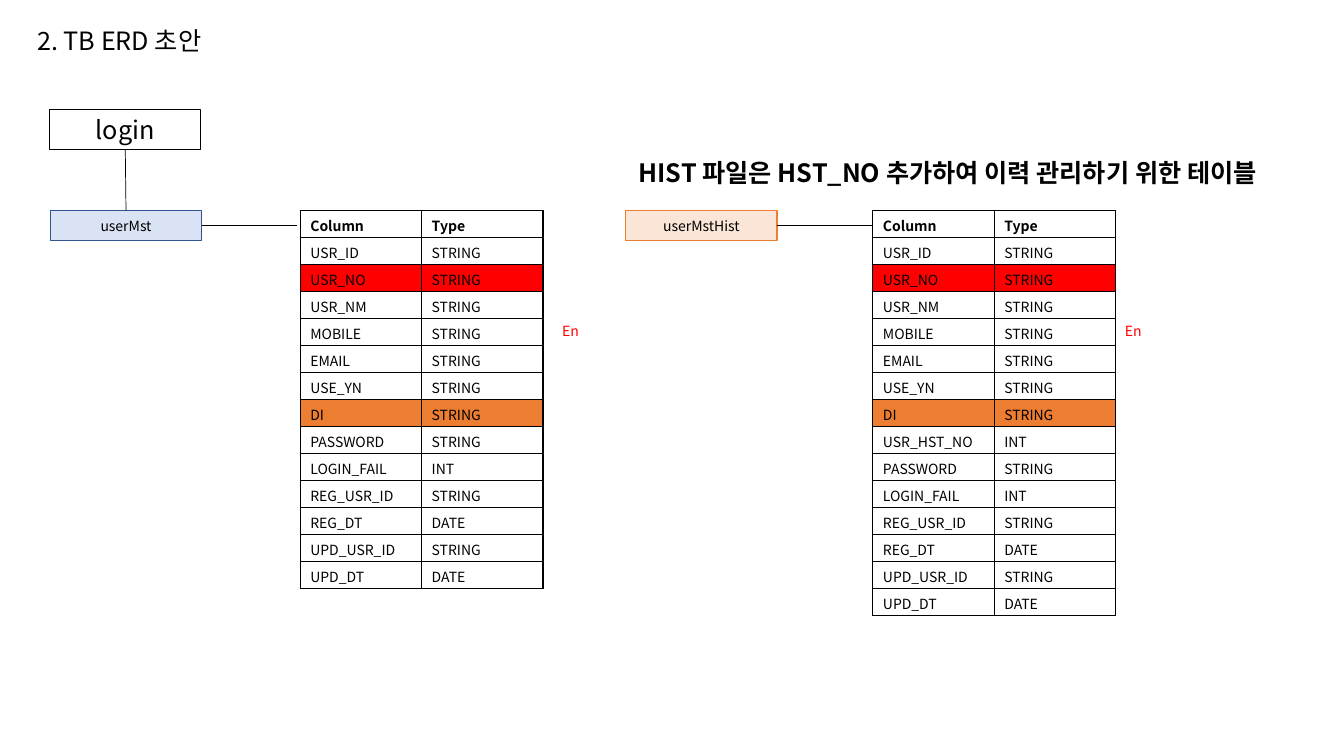
from dataclasses import dataclass

from lxml import etree
from pptx import Presentation
from pptx import util as u
from pptx.dml.color import RGBColor
from pptx.enum import shapes, text
from pptx.oxml.ns import qn

FONT = "Noto Sans CJK KR"
BLACK = "000000"
RED = "FF0000"
ORANGE = "ED7D31"
COLUMN_WIDTH = 86.7
ROW_HEIGHT = 19.28
ROW_FILLS = {"USR_NO": RED, "DI": ORANGE}


@dataclass
class Entity:
    name: str
    left: float
    top: float
    height: float
    line: str
    fill: str | None = None
    size: float = 10


@dataclass
class Label:
    words: str
    left: float
    top: float
    width: float
    height: float
    size: float = 10
    color: str = BLACK
    bold: bool = False


@dataclass
class ColumnTable:
    left: float
    rows: list[tuple[str, str]]


LOGIN = Entity("login", 35.5, 78, 29, BLACK, size=18)
USER = Entity("userMst", 36, 150.5, 21.5, "325491", "DAE3F3")
HISTORY = Entity("userMstHist", 447, 150.5, 21.5, ORANGE, "FBE5D6")

KEY_ROWS = [("Column", "Type")] + [
    (name, "STRING")
    for name in ("USR_ID", "USR_NO", "USR_NM", "MOBILE", "EMAIL", "USE_YN", "DI")
]
AUDIT_ROWS = [
    ("PASSWORD", "STRING"),
    ("LOGIN_FAIL", "INT"),
    ("REG_USR_ID", "STRING"),
    ("REG_DT", "DATE"),
    ("UPD_USR_ID", "STRING"),
    ("UPD_DT", "DATE"),
]
TABLES = [
    ColumnTable(214.5, KEY_ROWS + AUDIT_ROWS),
    ColumnTable(623.5, KEY_ROWS + [("USR_HST_NO", "INT")] + AUDIT_ROWS),
]
LABELS = [
    Label("2. TB ERD 초안", 19.5, 14.4, 206, 29, 18),
    Label("En", 394.5, 226.8, 69, 19.4, color=RED),
    Label("En", 796.5, 226.8, 69, 19.4, color=RED),
    Label("HIST 파일은 HST_NO 추가하여 이력 관리하기 위한 테이블",
          449, 108.7, 508, 29, 18, bold=True),
]


def rgb(color: str) -> RGBColor:
    return RGBColor.from_string(color)


def set_text(paragraph, words: str, size: float, color: str = BLACK, bold: bool = False) -> None:
    paragraph.text = words
    font = paragraph.font
    font.name, font.size, font.bold = FONT, u.Pt(size), bold
    font.color.rgb = rgb(color)
    properties = paragraph._p.get_or_add_pPr().find(qn("a:defRPr"))
    latin = properties.find(qn("a:latin"))
    east_asian = etree.Element(qn("a:ea"), typeface=FONT)
    latin.addnext(east_asian)


def set_fill(fill, color: str | None) -> None:
    if color is None:
        fill.background()
    else:
        fill.solid()
        fill.fore_color.rgb = rgb(color)


def add_entity(slide, entity: Entity):
    shape = slide.shapes.add_shape(
        shapes.MSO_SHAPE.RECTANGLE,
        u.Pt(entity.left), u.Pt(entity.top), u.Pt(108), u.Pt(entity.height))
    shape.shadow.inherit = False
    set_fill(shape.fill, entity.fill)
    shape.line.color.rgb = rgb(entity.line)
    shape.line.width = u.Pt(1)
    shape.text_frame.vertical_anchor = text.MSO_ANCHOR.MIDDLE
    paragraph = shape.text_frame.paragraphs[0]
    paragraph.alignment = text.PP_ALIGN.CENTER
    set_text(paragraph, entity.name, entity.size)
    return shape


def add_label(slide, label: Label) -> None:
    box = slide.shapes.add_textbox(
        u.Pt(label.left), u.Pt(label.top), u.Pt(label.width), u.Pt(label.height))
    box.text_frame.word_wrap = True
    set_text(box.text_frame.paragraphs[0], label.words, label.size, label.color, label.bold)


def add_link(slide, start, side: int, end_x: float = 0, end_y: float = 0):
    """Draw a thin line from the middle of a side of start."""
    link = slide.shapes.add_connector(
        shapes.MSO_CONNECTOR.STRAIGHT, 0, 0, u.Pt(end_x), u.Pt(end_y))
    link.begin_connect(start, side)
    link.line.color.rgb = rgb(BLACK)
    link.line.width = u.Pt(0.5)
    etree.SubElement(link._element.spPr, qn("a:effectLst"))
    return link


def add_borders(cell) -> None:
    properties = cell._tc.get_or_add_tcPr()
    for side in ("lnL", "lnR", "lnT", "lnB"):
        border = etree.SubElement(properties, qn(f"a:{side}"), w=str(u.Pt(1)))
        solid = etree.SubElement(border, qn("a:solidFill"))
        etree.SubElement(solid, qn("a:srgbClr"), val=BLACK)


def add_column_table(slide, column_table: ColumnTable) -> None:
    rows = column_table.rows
    table = slide.shapes.add_table(
        len(rows), 2, u.Pt(column_table.left), u.Pt(USER.top),
        u.Pt(2 * COLUMN_WIDTH), u.Pt(len(rows) * ROW_HEIGHT)).table
    table.first_row = table.horz_banding = False
    for column in table.columns:
        column.width = u.Pt(COLUMN_WIDTH)
    for row_index, row in enumerate(rows):
        table.rows[row_index].height = u.Pt(ROW_HEIGHT)
        for column_index, words in enumerate(row):
            cell = table.cell(row_index, column_index)
            cell.margin_top, cell.margin_bottom = u.Pt(3.6), u.Pt(1)
            add_borders(cell)
            set_fill(cell.fill, ROW_FILLS.get(row[0]))
            set_text(cell.text_frame.paragraphs[0], words, 10, bold=row_index == 0)


def main() -> None:
    presentation = Presentation()
    presentation.slide_width, presentation.slide_height = u.Pt(960), u.Pt(540)
    slide = presentation.slides.add_slide(presentation.slide_layouts[6])
    login, user, history = (add_entity(slide, entity) for entity in (LOGIN, USER, HISTORY))
    add_link(slide, login, 2).end_connect(user, 0)
    middle = USER.top + USER.height / 2
    add_link(slide, user, 3, 212.5, middle)
    add_link(slide, history, 3, 623.5, middle)
    for column_table in TABLES:
        add_column_table(slide, column_table)
    for label in LABELS:
        add_label(slide, label)
    presentation.save("out.pptx")


if __name__ == "__main__":
    main()
